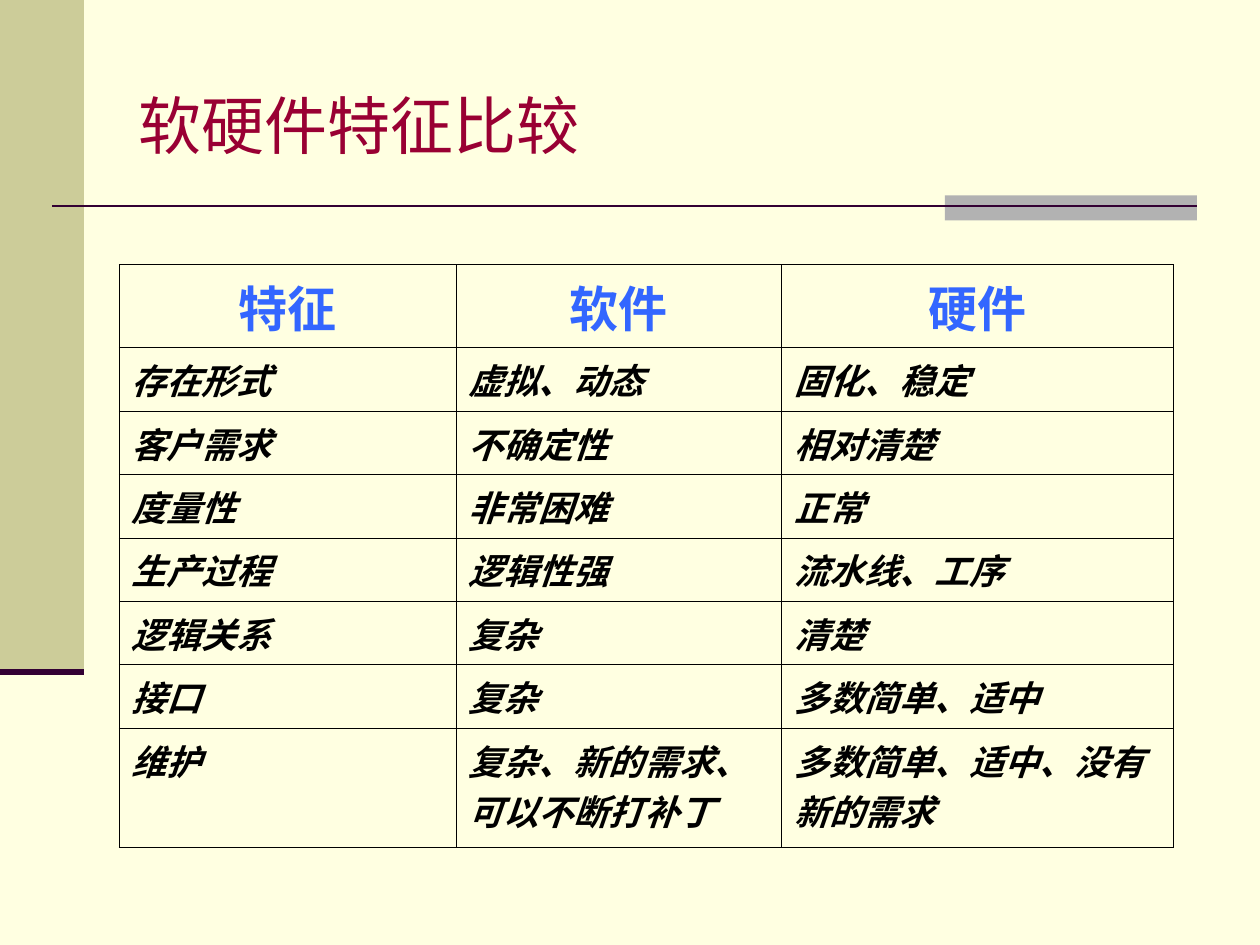
from lxml import etree
from pptx import Presentation, util as u
from pptx.dml.color import RGBColor
from pptx.enum import shapes, text
from pptx.oxml.ns import qn

C = {"bg": "FFFFE1", "band": "CCCC99", "tab": "B2B2B2", "rule": "330033",
     "title": "990033", "head": "3366FF", "body": "000000"}
FONT = "Times New Roman"

prs = Presentation()
prs.slide_width, prs.slide_height = u.Inches(10), u.Inches(7.5)
col, row = prs.slide_width / 120, prs.slide_height / 90
s = prs.slides.add_slide(prs.slide_layouts[6])
s.background.fill.solid()
s.background.fill.fore_color.rgb = RGBColor.from_string(C["bg"])


def grid(x, y, w, h):
    return int(x * col), int(y * row), int(w * col), int(h * row)


def style(p, size, color, bold=False, italic=False):
    for r in p.runs:
        f = r.font
        f.name, f.size, f.bold, f.italic = FONT, u.Pt(size), bold, italic
        f.color.rgb = RGBColor.from_string(C[color])


for color, box in [("band", (0, 0, 8, 64)), ("tab", (90, 18.6, 24, 2.4))]:
    sp = s.shapes.add_shape(shapes.MSO_SHAPE.RECTANGLE, *grid(*box))
    sp.shadow.inherit = False
    sp.fill.solid()
    sp.fill.fore_color.rgb = RGBColor.from_string(C[color])
    sp.line.fill.background()

for x1, x2, y, width in [(5, 114, 19.62, 1.5), (0, 8, 64, 3.5)]:
    ln = s.shapes.add_connector(shapes.MSO_CONNECTOR.STRAIGHT, *grid(x1, y, x2, y))
    ln.line.color.rgb = RGBColor.from_string(C["rule"])
    ln.line.width = u.Pt(width)
    etree.SubElement(ln._element.spPr, qn("a:effectLst"))

tf = s.shapes.add_textbox(*grid(12, 3.6, 102, 15)).text_frame
tf.word_wrap = True
tf.vertical_anchor = text.MSO_ANCHOR.MIDDLE
p = tf.paragraphs[0]
p.text = "软硬件特征比较"
p.line_spacing = 1.2
style(p, 36, "title")

rows = [
    ("特征", "软件", "硬件"),
    ("存在形式", "虚拟、动态", "固化、稳定"),
    ("客户需求", "不确定性", "相对清楚"),
    ("度量性", "非常困难", "正常"),
    ("生产过程", "逻辑性强", "流水线、工序"),
    ("逻辑关系", "复杂", "清楚"),
    ("接口", "复杂", "多数简单、适中"),
    ("维护", "复杂、新的需求、可以不断打补丁", "多数简单、适中、没有新的需求"),
]
widths = [32.1, 31, 37.3]
heights = [7.92] + [6.04] * 6 + [11.4]
tbl = s.shapes.add_table(len(rows), len(widths),
                         *grid(11.35, 25.2, sum(widths), sum(heights))).table
tbl.first_row = tbl.horz_banding = False
for tc, w in zip(tbl.columns, widths):
    tc.width = int(w * col)
for tr, h in zip(tbl.rows, heights):
    tr.height = int(h * row)

for i, values in enumerate(rows):
    for j, value in enumerate(values):
        cell = tbl.cell(i, j)
        p = cell.text_frame.paragraphs[0]
        p.text = value
        if i == 0:
            p.alignment = text.PP_ALIGN.CENTER
            style(p, 28, "head", bold=True)
        else:
            style(p, 20, "body", bold=True, italic=True)
        tcPr = cell._tc.get_or_add_tcPr()
        for side in ("a:lnL", "a:lnR", "a:lnT", "a:lnB"):
            ln = etree.SubElement(tcPr, qn(side), w=str(u.Pt(0.45)))
            fill = etree.SubElement(ln, qn("a:solidFill"))
            etree.SubElement(fill, qn("a:srgbClr"), val=C["body"])
        cell.fill.background()

prs.save("out.pptx")
